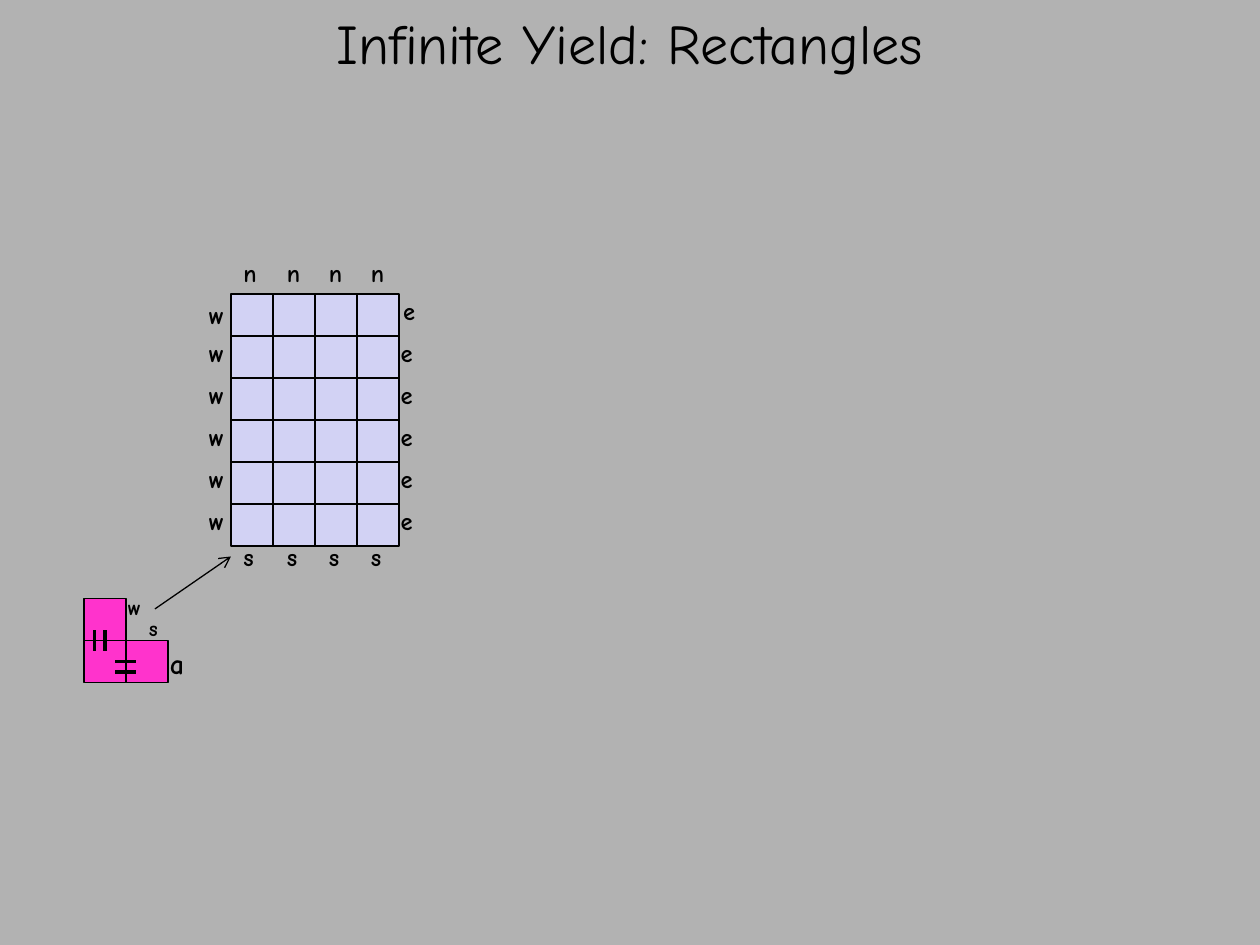
import pptx
import pptx.util
import pptx.dml.color
import pptx.enum.shapes
import pptx.enum.text
import pptx.oxml.ns
import lxml.etree

Pt = pptx.util.Pt
COLORS = {"background": "B2B2B2", "cell": "D2D2F4", "seed": "FF33CC", "ink": "000000"}
FONT = "Comic Neue"
CELL = 24
COLS, ROWS = 4, 6
LEFT, TOP = 132, 168


def rgb(name):
    return pptx.dml.color.RGBColor.from_string(COLORS[name])


def add_text(s, text, x, y, w, h, size=14, bold=True, title=False):
    sp = s.shapes.add_textbox(Pt(x), Pt(y), Pt(w), Pt(h))
    tf = sp.text_frame
    tf.word_wrap = title
    p = tf.paragraphs[0]
    if title:
        tf.vertical_anchor = pptx.enum.text.MSO_ANCHOR.MIDDLE
        p.alignment = pptx.enum.text.PP_ALIGN.CENTER
    else:
        tf.auto_size = pptx.enum.text.MSO_AUTO_SIZE.SHAPE_TO_FIT_TEXT
    r = p.add_run()
    r.text = text
    r.font.name = FONT
    r.font.size = Pt(size)
    r.font.bold = bold
    r.font.color.rgb = rgb("ink")


def add_tile(s, x, y, color):
    sp = s.shapes.add_shape(pptx.enum.shapes.MSO_SHAPE.RECTANGLE, Pt(x), Pt(y), Pt(CELL), Pt(CELL))
    sp.shadow.inherit = False
    sp.fill.solid()
    sp.fill.fore_color.rgb = rgb(color)
    sp.line.color.rgb = rgb("ink")
    sp.line.width = Pt(0.75)


def add_line(s, x1, y1, x2, y2, width=2.25, arrow=False):
    sp = s.shapes.add_connector(pptx.enum.shapes.MSO_CONNECTOR.STRAIGHT, Pt(x1), Pt(y1), Pt(x2), Pt(y2))
    sp.line.color.rgb = rgb("ink")
    sp.line.width = Pt(width)
    if arrow:
        ln = sp.line._get_or_add_ln()
        lxml.etree.SubElement(ln, pptx.oxml.ns.qn("a:tailEnd"), type="arrow")
    lxml.etree.SubElement(sp._element.spPr, pptx.oxml.ns.qn("a:effectLst"))


def add_grid(s):
    for col in range(COLS):
        for row in range(ROWS):
            add_tile(s, LEFT + col * CELL, TOP + row * CELL, "cell")


def add_edge_labels(s):
    for col in range(COLS):
        x = LEFT + col * CELL + (0.9 if col else 0)
        add_text(s, "n", x, 144, 22.3, 24.5)
        add_text(s, "s", x, 306, 21.6, 24.5)
    for row in range(ROWS):
        y = 165.4 + row * CELL
        add_text(s, "e", 221.8 if row else 223.2, y, 22.3, 24.5)
        add_text(s, "w", 112.3, y if row else 167.8, 24.5, 24.5)


def add_seed(s):
    for x, y in ((48, 366), (72, 366), (48, 342)):
        add_tile(s, x, y, "seed")
    for y in (384, 378):
        for x in (72, 66):
            add_line(s, x, y, x + 6, y)
    for x in (54, 60):
        for y in (360, 366):
            add_line(s, x, y, x, y + 6)
    add_text(s, "s", 78, 348, 20.2, 21.6, size=12)
    add_text(s, "w", 66, 336, 23, 21.6, size=12)
    add_text(s, "a", 90, 366, 23.8, 26.6, size=16)


def main():
    prs = pptx.Presentation()
    prs.slide_width, prs.slide_height = Pt(720), Pt(540)
    s = prs.slides.add_slide(prs.slide_layouts[6])
    s.background.fill.solid()
    s.background.fill.fore_color.rgb = rgb("background")
    add_text(s, "Infinite Yield: Rectangles", 0, 0, 720, 48, size=32, bold=False, title=True)
    add_grid(s)
    add_edge_labels(s)
    add_seed(s)
    add_line(s, 88.5, 348, 132, 318, width=0.75, arrow=True)
    prs.save("out.pptx")


if __name__ == "__main__":
    main()
